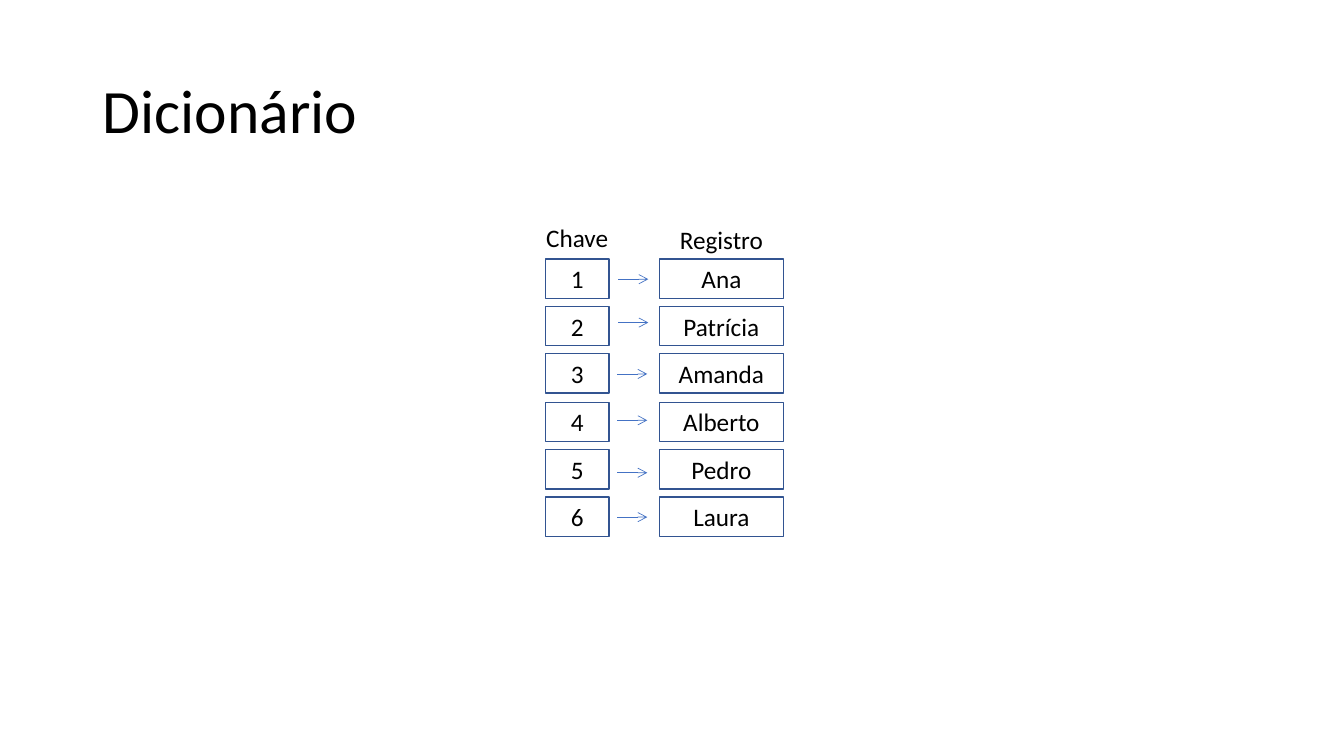
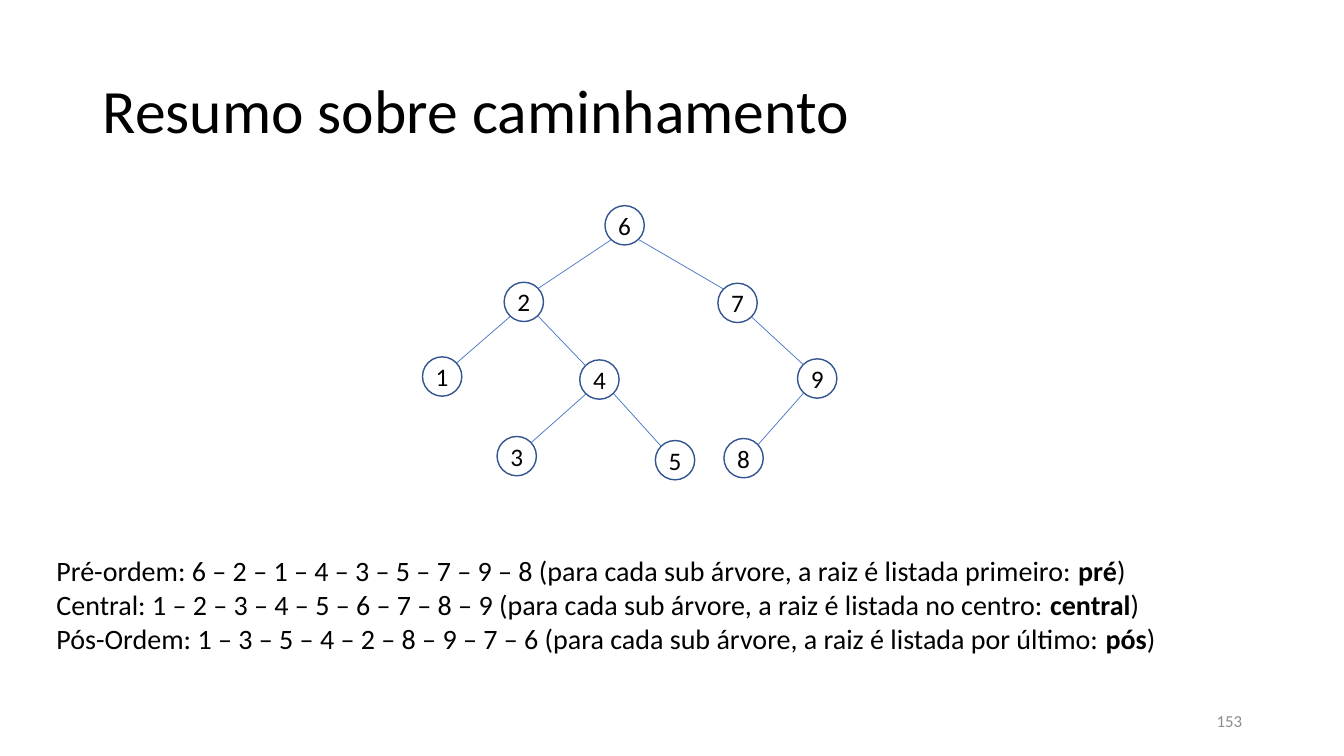
from dataclasses import dataclass

from lxml import etree
from pptx import Presentation
from pptx import util as u
from pptx.dml.color import RGBColor
from pptx.enum import shapes, text
from pptx.oxml.ns import qn


@dataclass(frozen=True)
class Theme:
    font: str = "Calibri"
    ink: str = "000000"
    muted: str = "8C8C8C"
    outline: str = "325491"
    link: str = "4472C4"
    title: int = 44
    body: int = 20
    label: int = 18
    footer: int = 12


T = Theme()
PX = 9144
LEFT, CENTER, RIGHT = text.PP_ALIGN.LEFT, text.PP_ALIGN.CENTER, text.PP_ALIGN.RIGHT


def px(*lengths):
    return [u.Emu(n * PX) for n in lengths]


def write(tf, paragraphs, size, color=T.ink, align=LEFT):
    tf.word_wrap = True
    tf.auto_size = text.MSO_AUTO_SIZE.NONE
    tf.vertical_anchor = text.MSO_ANCHOR.MIDDLE
    for i, runs in enumerate(paragraphs):
        p = tf.add_paragraph() if i else tf.paragraphs[0]
        p.alignment = align
        for words, bold in runs:
            r = p.add_run()
            r.text = words
            r.font.name = T.font
            r.font.size = u.Pt(size)
            r.font.bold = bold
            r.font.color.rgb = RGBColor.from_string(color)


RECT, OVAL = shapes.MSO_SHAPE.RECTANGLE, shapes.MSO_SHAPE.OVAL

KEY_X, KEY_W, RECORD_X, RECORD_W = 541, 63, 654, 123
ROW_TOP, ROW_STEP, CELL = 257, 47.2, 39
records = [("Ana", 613, 277), ("Patrícia", 613, 320), ("Amanda", 612, 371),
           ("Alberto", 612, 417), ("Pedro", 612, 469), ("Laura", 612, 513)]
cells, arrows = [], []
for i, (name, x, y) in enumerate(records):
    top = ROW_TOP + round(i * ROW_STEP)
    cells.append((RECT, KEY_X, top, KEY_W, str(i + 1)))
    cells.append((RECT, RECORD_X, top, RECORD_W, name))
    arrows.append((x, y, x + 30, y))
headers = [
    ((KEY_X, 221, KEY_W, 30), [[("Chave", False)]], T.label, T.ink, CENTER),
    ((RECORD_X, 223, RECORD_W, 30), [[("Registro", False)]], T.label, T.ink, CENTER),
]

nodes = {6: (600, 204), 2: (500, 280), 7: (712, 281), 1: (419, 354), 4: (575, 357),
         9: (791, 356), 3: (493, 433), 5: (650, 437), 8: (718, 435)}
edges = [(6, 2), (6, 7), (2, 1), (2, 4), (7, 9), (4, 3), (4, 5), (9, 8)]
NEAR, FAR = 6, 34
circles = [(OVAL, x, y, CELL, str(key)) for key, (x, y) in nodes.items()]
branches = []
for parent, child in edges:
    (x1, y1), (x2, y2) = nodes[parent], nodes[child]
    start, end = (FAR, NEAR) if x2 > x1 else (NEAR, FAR)
    branches.append((x1 + start, y1 + FAR, x2 + end, y2 + NEAR))
orders = [
    ("Pré-ordem: 6 – 2 – 1 – 4 – 3 – 5 – 7 – 9 – 8", "listada primeiro", "pré"),
    ("Central: 1 – 2 – 3 – 4 – 5 – 6 – 7 – 8 – 9", "listada no centro", "central"),
    ("Pós-Ordem: 1 – 3 – 5 – 4 – 2 – 8 – 9 – 7 – 6", "listada por último", "pós"),
]
summary = [[(f"{order} (para cada sub árvore, a raiz é {when}: ", False),
            (short, True), (")", False)] for order, when, short in orders]
notes = [
    ((56, 549, 1120, 101), summary, T.body, T.ink, LEFT),
    ((952, 695, 280, 40), [[("153", False)]], T.footer, T.muted, RIGHT),
]

pages = [
    ("Dicionário", cells, arrows, True, headers),
    ("Resumo sobre caminhamento", circles, branches, False, notes),
]

prs = Presentation()
prs.slide_width, prs.slide_height = u.Inches(13.33), u.Inches(7.5)
layout = prs.slide_layouts[5]
frame = layout.placeholders[0]
frame.left, frame.top, frame.width, frame.height = px(92, 40, 1150, 145)

for title, boxes, lines, arrowed, labels in pages:
    s = prs.slides.add_slide(layout)
    write(s.shapes.title.text_frame, [[(title, False)]], T.title)
    s.shapes.title.text_frame.paragraphs[0].line_spacing = 0.9

    for kind, x, y, w, words in boxes:
        sp = s.shapes.add_shape(kind, *px(x, y, w, CELL))
        sp.shadow.inherit = False
        sp.fill.background()
        sp.line.color.rgb = RGBColor.from_string(T.outline)
        sp.line.width = u.Pt(1)
        tf = sp.text_frame
        tf.margin_left = tf.margin_right = tf.margin_top = tf.margin_bottom = 0
        write(tf, [[(words, False)]], T.label, align=CENTER)

    for ends in lines:
        line = s.shapes.add_connector(shapes.MSO_CONNECTOR.STRAIGHT, *px(*ends))
        line.line.color.rgb = RGBColor.from_string(T.link)
        line.line.width = u.Pt(0.5)
        spPr = line._element.spPr
        if arrowed:
            etree.SubElement(spPr.find(qn("a:ln")), qn("a:tailEnd"), type="arrow")
        etree.SubElement(spPr, qn("a:effectLst"))

    for area, paragraphs, size, color, align in labels:
        tf = s.shapes.add_textbox(*px(*area)).text_frame
        tf.margin_left = tf.margin_right = tf.margin_top = tf.margin_bottom = 0
        write(tf, paragraphs, size, color, align)

prs.save("out.pptx")
